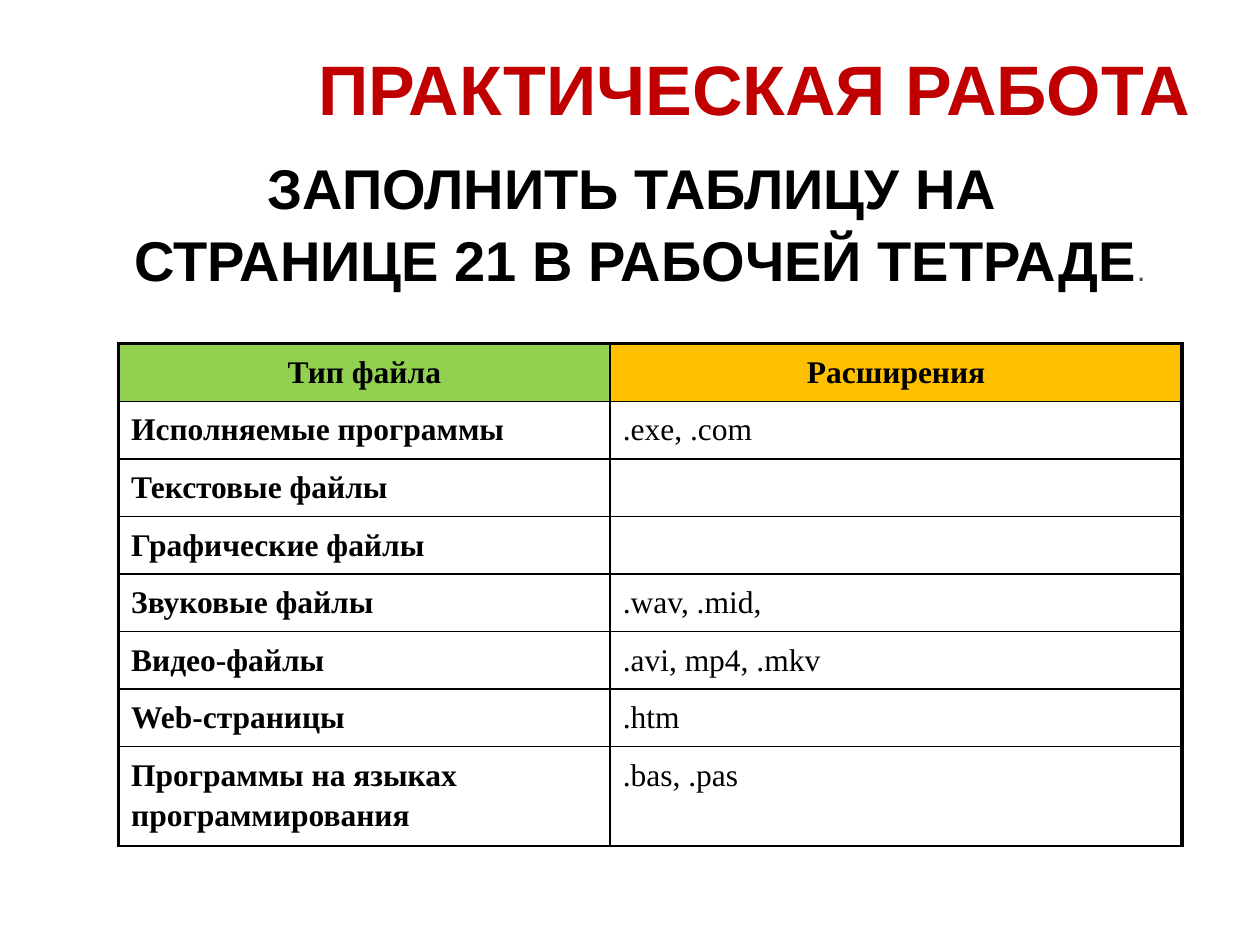
import pptx
import pptx.dml.color
import pptx.enum.text
import pptx.oxml.ns
import pptx.util
from lxml import etree

Cm = pptx.util.Cm
Pt = pptx.util.Pt
RGBColor = pptx.dml.color.RGBColor
ALIGN = pptx.enum.text.PP_ALIGN

RED = RGBColor(0xC0, 0x00, 0x00)
BLACK = RGBColor(0x00, 0x00, 0x00)
GREY = RGBColor(0x4D, 0x4D, 0x4D)
GREEN = RGBColor(0x92, 0xD0, 0x50)
AMBER = RGBColor(0xFF, 0xC0, 0x00)

HEADER = ("Тип файла", "Расширения")
FILE_TYPES = [
    ("Исполняемые программы", ".exe, .com"),
    ("Текстовые файлы", ""),
    ("Графические файлы", ""),
    ("Звуковые файлы", ".wav, .mid,"),
    ("Видео-файлы", ".avi, mp4, .mkv"),
    ("Web-страницы", ".htm"),
    ("Программы на языках программирования", ".bas, .pas"),
]
THIN, THICK = 1, 2.25


def add_run(paragraph, text, size, color=BLACK, bold=True, font="Arial"):
    run = paragraph.add_run()
    run.text = text
    run.font.name = font
    run.font.size = Pt(size)
    run.font.bold = bold
    run.font.color.rgb = color


def add_text_frame(slide, left, top, width, height):
    frame = slide.shapes.add_textbox(Cm(left), Cm(top), Cm(width), Cm(height)).text_frame
    frame.word_wrap = True
    return frame


def add_title(slide, left, top, width, height):
    title = add_text_frame(slide, left, top, width, height).paragraphs[0]
    title.alignment = ALIGN.RIGHT
    add_run(title, "ПРАКТИЧЕСКАЯ РАБОТА ", 40, RED)


def add_task(slide, left, top, width, height):
    frame = add_text_frame(slide, left, top, width, height)
    first, second = frame.paragraphs[0], frame.add_paragraph()
    for line in (first, second):
        line.alignment = ALIGN.CENTER
        line.space_before = Pt(2.5)
    add_run(first, "ЗАПОЛНИТЬ ТАБЛИЦУ НА ", 32)
    add_run(second, "СТРАНИЦЕ 21 В РАБОЧЕЙ ТЕТРАДЕ", 32)
    add_run(second, ".", 18, GREY, bold=False)


def set_borders(cell, **widths):
    """Draw black borders; the widths are in points, keyed by side."""
    properties = cell._tc.get_or_add_tcPr()
    for index, side in enumerate("LRTB"):
        line = etree.Element(pptx.oxml.ns.qn(f"a:ln{side}"), w=str(Pt(widths[side])))
        fill = etree.SubElement(line, pptx.oxml.ns.qn("a:solidFill"))
        etree.SubElement(fill, pptx.oxml.ns.qn("a:srgbClr"), val=str(BLACK))
        properties.insert(index, line)


def add_file_table(slide, left, top, column_widths, row_height, last_height):
    rows = [HEADER] + FILE_TYPES
    heights = [row_height] * len(FILE_TYPES) + [last_height]
    table = slide.shapes.add_table(
        len(rows), len(HEADER), Cm(left), Cm(top),
        Cm(sum(column_widths)), Cm(sum(heights))).table
    table.first_row = table.horz_banding = False
    for column, width in zip(table.columns, column_widths):
        column.width = Cm(width)

    for r, texts in enumerate(rows):
        table.rows[r].height = Cm(heights[r])
        for c, text in enumerate(texts):
            cell = table.cell(r, c)
            # Coloured header, plain body
            if r == 0:
                cell.fill.solid()
                cell.fill.fore_color.rgb = (GREEN, AMBER)[c]
            else:
                cell.fill.background()
            set_borders(cell, L=THICK if c == 0 else THIN, R=THICK if c == 1 else THIN,
                        T=THICK if r == 0 else THIN, B=THIN)
            if text:
                paragraph = cell.text_frame.paragraphs[0]
                paragraph.alignment = ALIGN.CENTER if r == 0 else ALIGN.LEFT
                paragraph.line_spacing = 1.15
                add_run(paragraph, text, 18, bold=r == 0 or c == 0,
                        font="Times New Roman")


def main():
    deck = pptx.Presentation()
    deck.slide_width, deck.slide_height = Cm(25.4), Cm(19.05)
    slide = deck.slides.add_slide(deck.slide_layouts[6])
    add_title(slide, 0, 0.79, 24.64, 2.39)
    add_task(slide, 1.19, 2.97, 23.42, 3)
    add_file_table(slide, 2.39, 6.93, (9.91, 11.53), 1.16, 2)
    deck.save("out.pptx")


if __name__ == "__main__":
    main()
